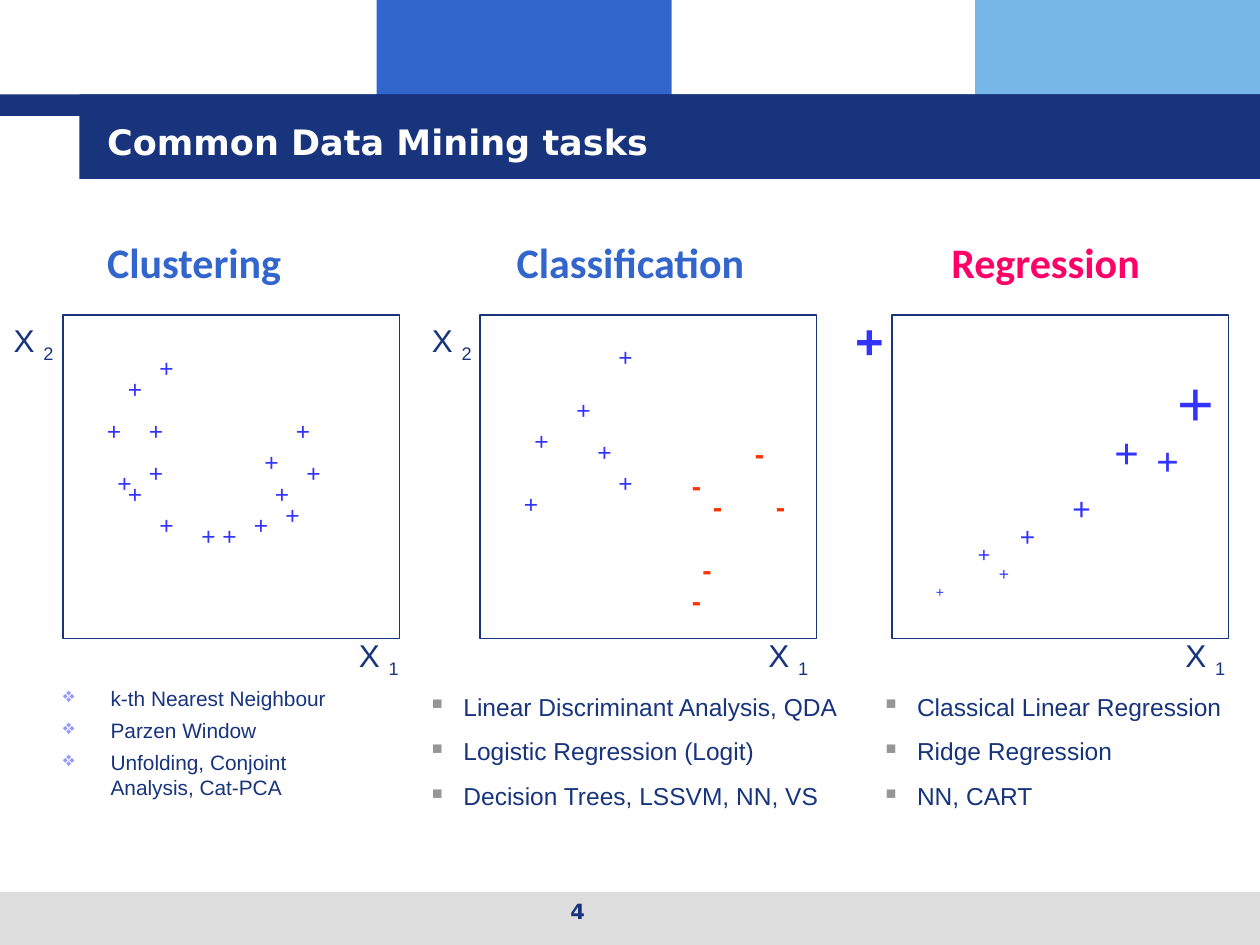
from lxml.etree import SubElement
from pptx import Presentation
from pptx.dml.color import RGBColor
from pptx.enum.shapes import MSO_SHAPE
from pptx.enum.text import MSO_ANCHOR, PP_ALIGN
from pptx.oxml.ns import qn
from pptx.util import Inches, Pt

NAVY = RGBColor(0x17, 0x34, 0x7D)
BLUE = RGBColor(0x33, 0x66, 0xCC)
SKY = RGBColor(0x77, 0xB7, 0xE7)
PALE = RGBColor(0xDD, 0xDD, 0xDD)
WHITE = RGBColor(0xFF, 0xFF, 0xFF)
PINK = RGBColor(0xFF, 0x00, 0x66)
PLUS_BLUE = RGBColor(0x33, 0x33, 0xFF)
MINUS_RED = RGBColor(0xFF, 0x33, 0x00)
LILAC = RGBColor(0x99, 0x99, 0xFF)
GREY = RGBColor(0x96, 0x96, 0x96)

BANDS = [  # left, top, width, height, colour
    (2.99, 0, 2.34, 0.92, BLUE),
    (7.74, 0, 2.26, 0.92, SKY),
    (0, 7.08, 10, 0.42, PALE),
    (0, 0.75, 10, 0.17, NAVY),
    (0.63, 0.75, 9.37, 0.67, NAVY),
]
TITLE = "Common Data Mining tasks"
HEADINGS = [("Clustering", BLUE), ("Classification", BLUE), ("Regression", PINK)]
HEADING_LEFT = 0.85
HEADING_TABS = (3.25, 6.7)

PANEL_LEFTS = (0.5, 3.81, 7.08)
PANEL_TOP, PANEL_WIDTH, PANEL_HEIGHT = 2.5, 2.67, 2.57
STEP = 1 / 12  # marker grid inside a panel

# Marker places are (column, row) steps from the panel's top left corner
CLUSTERS = [(7, 9), (7, 13), (21, 9), (8, 18), (14, 19), (12, 19), (19, 15), (17, 18),
            (22, 13), (18, 12), (20, 17), (5, 15), (4, 14), (3, 9), (5, 5), (8, 3)]
POSITIVES = [(4, 10), (8, 7), (3, 16), (12, 14), (10, 11), (12, 2)]
NEGATIVES = [(19, 14), (21, 16), (20, 22), (19, 25), (27, 16), (25, 11)]
TREND = [  # column, row, text size
    (7, 21, 12), (9, 23, 10), (3, 25, 8), (11, 19, 15), (16, 16, 18),
    (24, 11, 22), (20, 10, 24), (26, 4, 36),
]
OUTLIER = (-4.7, -1, 28)

AXIS_LABELS = [  # left, top, index
    (9.31, 5, "1"), (6, 5, "1"), (2.75, 5, "1"), (0.01, 2.5, "2"), (3.33, 2.5, "2"),
]

DIAMOND = dict(symbol="❖", colour=LILAC, percent=100, hang=0.38, size=11.9, gap=4, top=0.37)
SQUARE = dict(symbol="■", colour=GREY, percent=60, hang=0.25, size=14, gap=8.75, top=0.41)
METHODS = [  # left, top, width, style, lines
    (0.4, 5.07, 2.5, DIAMOND,
     ["k-th Nearest Neighbour", "Parzen Window", "Unfolding, Conjoint Analysis, Cat-PCA"]),
    (3.33, 5.08, 3.5, SQUARE,
     ["Linear Discriminant Analysis, QDA", "Logistic Regression (Logit)",
      "Decision Trees, LSSVM, NN, VS"]),
    (6.93, 5.08, 3, SQUARE,
     ["Classical Linear Regression", "Ridge Regression", "NN, CART"]),
]


def add_rectangle(slide, left, top, width, height, fill=None):
    box = slide.shapes.add_shape(MSO_SHAPE.RECTANGLE, *map(Inches, (left, top, width, height)))
    box.shadow.inherit = False
    if fill is None:
        box.fill.background()
        box.line.color.rgb = NAVY
        box.line.width = Pt(0.75)
    else:
        box.fill.solid()
        box.fill.fore_color.rgb = fill
        box.line.fill.background()


def add_text_box(slide, left, top, width, height):
    frame = slide.shapes.add_textbox(*map(Inches, (left, top, width, height))).text_frame
    frame.word_wrap = True
    return frame


def add_span(para, text, size, colour=NAVY, bold=False, font="Arial"):
    span = para.add_run()
    span.text = text
    span.font.name = font
    span.font.size = Pt(size)
    span.font.bold = bold
    span.font.color.rgb = colour
    return span


def add_marker(slide, panel, column, row, size=14, text="+", colour=PLUS_BLUE, bold=False):
    frame = add_text_box(slide, PANEL_LEFTS[panel] + column * STEP, PANEL_TOP + row * STEP,
                         0.33, 0.1 + size / 60)
    add_span(frame.paragraphs[0], text, size, colour, bold)


def add_headings(slide):
    frame = add_text_box(slide, 0, 1.58, 10, 0.75)
    frame.margin_left = Inches(HEADING_LEFT)
    frame.vertical_anchor = MSO_ANCHOR.BOTTOM
    para = frame.paragraphs[0]
    tabs = SubElement(para._p.get_or_add_pPr(), qn("a:tabLst"))
    for position in HEADING_TABS:
        SubElement(tabs, qn("a:tab"), pos=str(Inches(position)), algn="l")
    for index, (text, colour) in enumerate(HEADINGS):
        add_span(para, "\t" + text if index else text, 24, colour, True, "Calibri")


def set_bullet(para, style):
    props = para._p.get_or_add_pPr()
    hang = Inches(style["hang"])
    props.set("marL", str(hang))
    props.set("indent", str(-hang))
    colour = SubElement(props, qn("a:buClr"))
    SubElement(colour, qn("a:srgbClr"), val=str(style["colour"]))
    SubElement(props, qn("a:buSzPct"), val=str(style["percent"] * 1000))
    SubElement(props, qn("a:buChar"), char=style["symbol"])


def add_methods(slide, left, top, width, style, lines):
    frame = add_text_box(slide, left, top, width, 1.33)
    frame.margin_top = Inches(style["top"])
    for index, line in enumerate(lines):
        para = frame.add_paragraph() if index else frame.paragraphs[0]
        para.space_before = Pt(style["gap"])
        set_bullet(para, style)
        add_span(para, line, style["size"])


def place_title(slide):
    title = slide.shapes.title
    title.left, title.top, title.width, title.height = map(Inches, (0.75, 0.5, 8.42, 1.25))
    title.text_frame.vertical_anchor = MSO_ANCHOR.MIDDLE
    para = title.text_frame.paragraphs[0]
    para.alignment = PP_ALIGN.LEFT
    add_span(para, TITLE, 20, WHITE, True, "DejaVu Sans")
    slide.shapes._spTree.append(title._element)  # in front of the bands


def main():
    deck = Presentation()
    deck.slide_width, deck.slide_height = Inches(10), Inches(7.5)
    slide = deck.slides.add_slide(deck.slide_layouts[5])

    for band in BANDS:
        add_rectangle(slide, *band)
    place_title(slide)
    add_headings(slide)
    for methods in METHODS:
        add_methods(slide, *methods)
    for left in PANEL_LEFTS:
        add_rectangle(slide, left, PANEL_TOP, PANEL_WIDTH, PANEL_HEIGHT)

    for place in CLUSTERS:
        add_marker(slide, 0, *place)
    for place in POSITIVES:
        add_marker(slide, 1, *place)
    for place in NEGATIVES:
        add_marker(slide, 1, *place, 16, "-", MINUS_RED, True)
    for point in TREND:
        add_marker(slide, 2, *point)
    add_marker(slide, 2, *OUTLIER, bold=True)

    for left, top, index in AXIS_LABELS:
        para = add_text_box(slide, left, top, 0.67, 0.44).paragraphs[0]
        add_span(para, "X ", 18)
        add_span(para, index, 18).font._element.set("baseline", "-25000")

    number = add_text_box(slide, 3.42, 7.08, 2.33, 0.35).paragraphs[0]
    number.alignment = PP_ALIGN.CENTER
    add_span(number, "4", 12, NAVY, True, "DejaVu Sans")
    deck.save("out.pptx")


if __name__ == "__main__":
    main()
